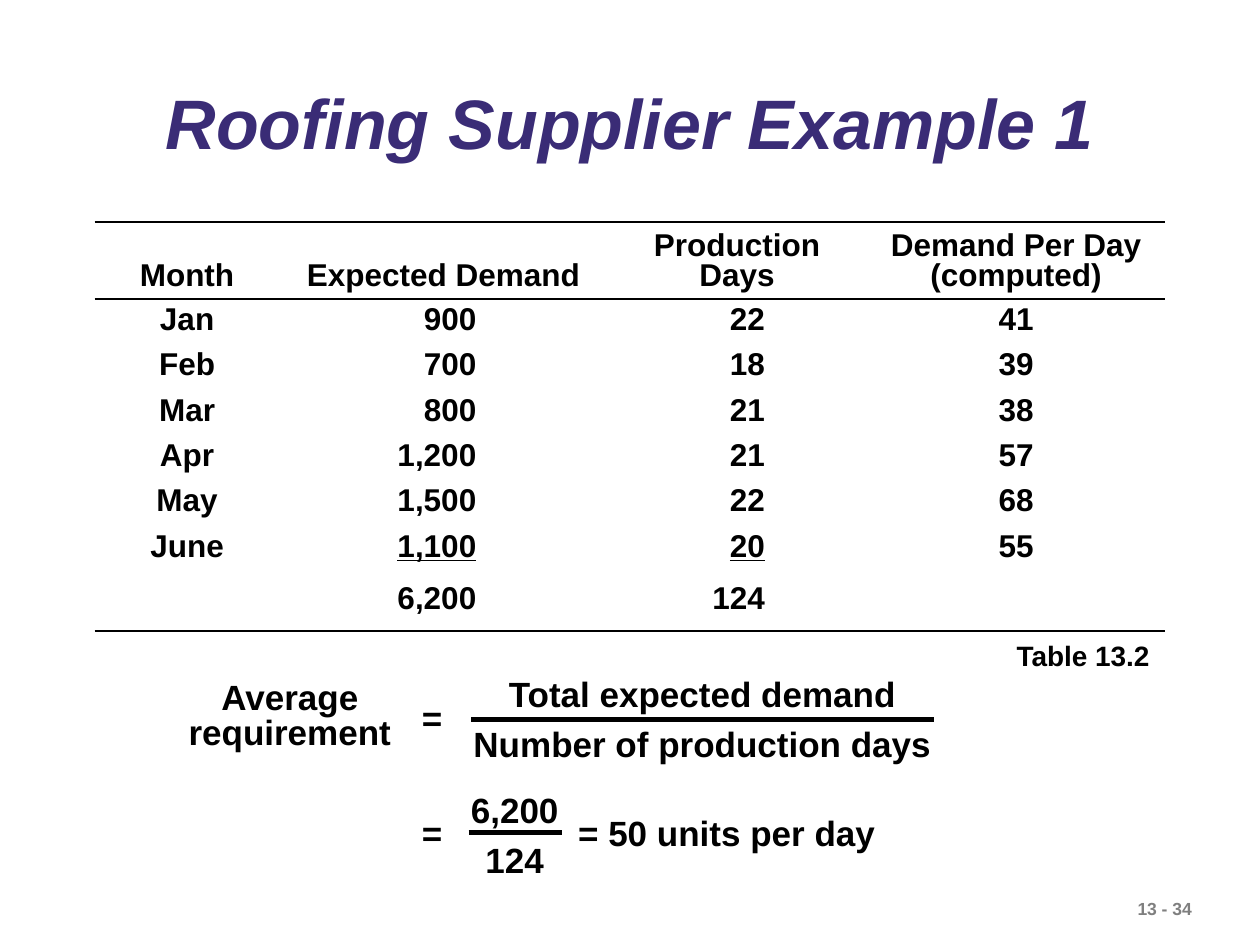
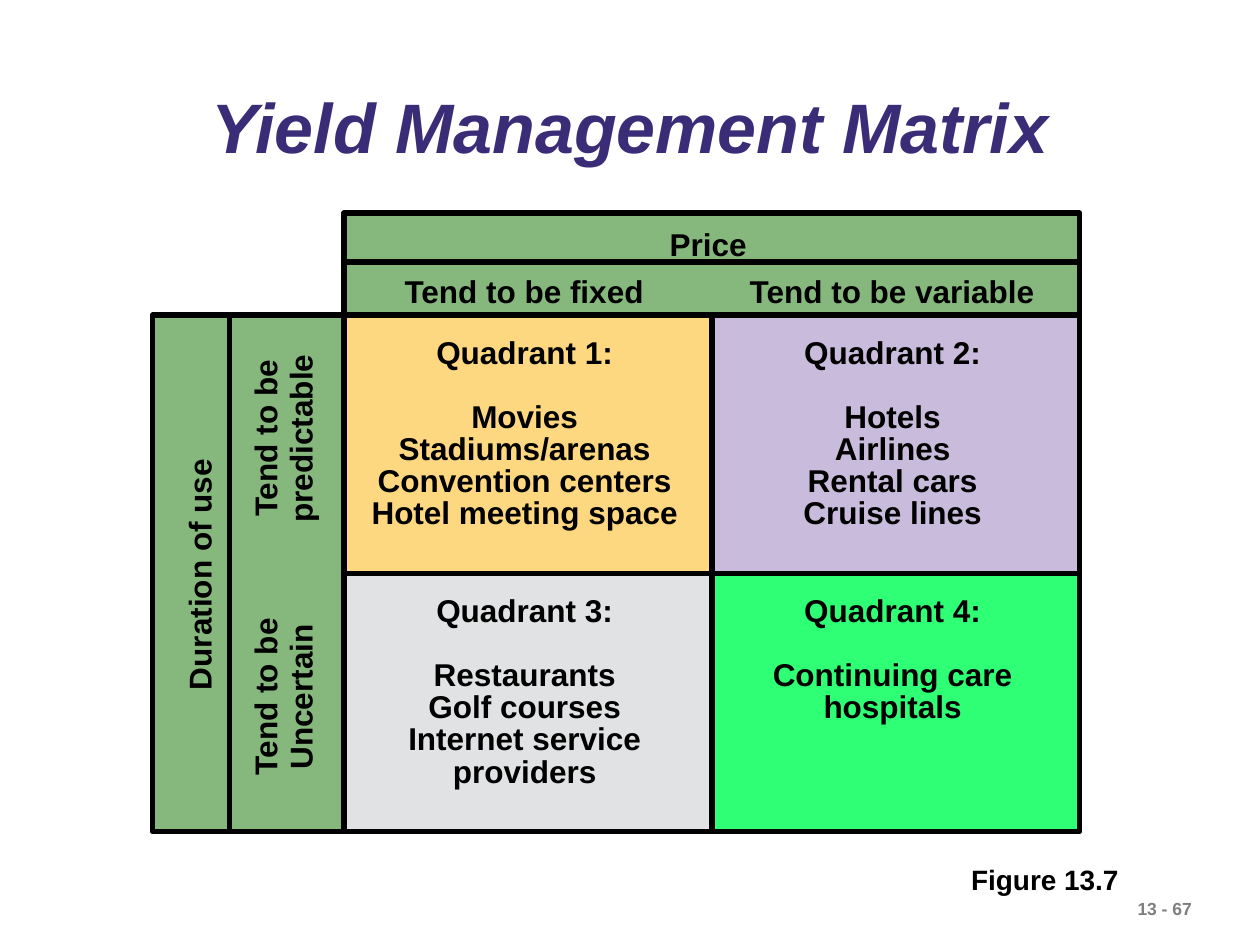
from lxml import etree
from pptx import Presentation
from pptx.dml.color import RGBColor
from pptx.enum.shapes import MSO_CONNECTOR, MSO_SHAPE
from pptx.enum.text import MSO_ANCHOR, PP_ALIGN
from pptx.oxml.ns import qn
from pptx.util import Inches, Pt

LEFT, CENTER, RIGHT = PP_ALIGN.LEFT, PP_ALIGN.CENTER, PP_ALIGN.RIGHT
TOP, MIDDLE, BOTTOM = MSO_ANCHOR.TOP, MSO_ANCHOR.MIDDLE, MSO_ANCHOR.BOTTOM
RECTANGLE = MSO_SHAPE.RECTANGLE
STRAIGHT = MSO_CONNECTOR.STRAIGHT

FONT = "Arial"
PLAIN_TABLE_STYLE = "{2D5ABB26-0587-4C30-8999-92F81FD0307C}"
BLACK = RGBColor(0x00, 0x00, 0x00)
GRAY = RGBColor(0x7F, 0x7F, 0x7F)
INDIGO = RGBColor(0x3A, 0x2C, 0x76)
GREEN = RGBColor(0x86, 0xB8, 0x7D)
GOLD = RGBColor(0xFE, 0xD8, 0x80)
LILAC = RGBColor(0xC9, 0xBB, 0xDB)
SILVER = RGBColor(0xE1, 0xE2, 0xE3)
BRIGHT_GREEN = RGBColor(0x2F, 0xFF, 0x74)


def write(frame, text, size, align=LEFT, spacing=1.0, color=BLACK):
    """Fill a text frame with bold lines, one paragraph per line of text."""
    frame.text = text
    for para in frame.paragraphs:
        para.alignment = align
        para.line_spacing = spacing
        para.font.name = FONT
        para.font.size = Pt(size)
        para.font.bold = True
        para.font.color.rgb = color


def add_rule(slide, x1, y1, x2, y2):
    rule = slide.shapes.add_connector(
        STRAIGHT, Inches(x1), Inches(y1), Inches(x2), Inches(y2))
    rule.line.color.rgb = BLACK
    rule.line.width = Pt(3)
    etree.SubElement(rule.element.spPr, qn("a:effectLst"))


deck = Presentation()
deck.slide_width = Inches(10)
deck.slide_height = Inches(7.5)

# Title and page number on both slides
slides = []
for title, title_top, title_height, page in [
    ("Roofing Supplier Example 1", 0.51, 0.99, "13 - 34"),
    ("Yield Management Matrix", 0.57, 0.94, "13 - 67"),
]:
    slide = deck.slides.add_slide(deck.slide_layouts[6])
    slides.append(slide)
    box = slide.shapes.add_textbox(
        Inches(0.75), Inches(title_top), Inches(8.5), Inches(title_height))
    box.text_frame.word_wrap = True
    box.text_frame.vertical_anchor = MIDDLE
    write(box.text_frame, title, 40, CENTER, 0.9, INDIGO)
    box.text_frame.paragraphs[0].font.italic = True
    box = slide.shapes.add_textbox(
        Inches(8.93), Inches(7.08), Inches(1.14), Inches(0.27))
    box.text_frame.word_wrap = False
    write(box.text_frame, page, 10, color=GRAY)
example, matrix = slides

# Demand table
demand_rows = [
    ("Month", "Expected Demand", "Production Days", "Demand Per Day (computed)"),
    ("Jan", "900", "22", "41"),
    ("Feb", "700", "18", "39"),
    ("Mar", "800", "21", "38"),
    ("Apr", "1,200", "21", "57"),
    ("May", "1,500", "22", "68"),
    ("June", "1,100", "20", "55"),
    ("", "6,200", "124", ""),
]
column_widths = [1.47, 2.6, 2.06, 2.37]
row_heights = [0.61] + [0.36] * 6 + [0.48]
number_margins = {1: 1.04, 2: 0.81}
last_row = len(demand_rows) - 1
row_borders = {
    0: {"a:lnT": 1.47, "a:lnB": 1.08},
    1: {"a:lnT": 1.08},
    last_row: {"a:lnB": 1.47},
}

table = example.shapes.add_table(
    len(demand_rows), len(column_widths), Inches(0.75), Inches(1.76),
    Inches(sum(column_widths)), Inches(sum(row_heights))).table
table.first_row = False
table.horz_banding = False
table._tbl.tblPr.find(qn("a:tableStyleId")).text = PLAIN_TABLE_STYLE
for column, width in zip(table.columns, column_widths):
    column.width = Inches(width)
for row, height in zip(table.rows, row_heights):
    row.height = Inches(height)

for row_index, values in enumerate(demand_rows):
    for column_index, value in enumerate(values):
        cell = table.cell(row_index, column_index)
        is_number = row_index > 0 and column_index in number_margins
        cell.vertical_anchor = MIDDLE if row_index else BOTTOM
        write(cell.text_frame, value, 18, RIGHT if is_number else CENTER, 0.85)
        if is_number:
            cell.margin_right = Inches(number_margins[column_index])
            # The last month is underlined above the totals
            if row_index == last_row - 1:
                cell.text_frame.paragraphs[0].font.underline = True
        properties = cell._tc.get_or_add_tcPr()
        borders = row_borders.get(row_index, {})
        for tag in ("a:lnL", "a:lnR", "a:lnT", "a:lnB"):
            points = borders.get(tag, 0)
            border = etree.SubElement(properties, qn(tag), w=str(int(Pt(points))))
            if points:
                fill = etree.SubElement(border, qn("a:solidFill"))
                etree.SubElement(fill, qn("a:srgbClr"), val=str(BLACK))
            else:
                etree.SubElement(border, qn("a:noFill"))
        cell.fill.background()

# Captions and the average requirement formula
for slide, text, left, top, width, height, size, align, spacing in [
    (example, "Table 13.2", 7.97, 5.02, 1.27, 0.37, 16, LEFT, 1.0),
    (matrix, "Figure 13.7", 7.61, 6.8, 1.37, 0.37, 16, LEFT, 1.0),
    (example, "Average requirement", 1.34, 5.36, 1.92, 0.67, 20, CENTER, 0.85),
    (example, "=", 3.25, 5.48, 0.36, 0.44, 20, CENTER, 1.0),
    (example, "Total expected demand\nNumber of production days",
     3.51, 5.22, 4.13, 0.9, 20, CENTER, 1.2),
    (example, "=", 3.25, 6.39, 0.36, 0.44, 20, CENTER, 1.0),
    (example, "6,200\n124", 3.49, 6.14, 1.19, 0.9, 20, CENTER, 1.2),
    (example, "= 50 units per day", 4.49, 6.39, 2.66, 0.44, 20, LEFT, 1.0),
]:
    box = slide.shapes.add_textbox(
        Inches(left), Inches(top), Inches(width), Inches(height))
    box.text_frame.word_wrap = text == "Average requirement"
    write(box.text_frame, text, size, align, spacing)
add_rule(example, 3.74, 5.71, 7.41, 5.71)
add_rule(example, 3.72, 6.61, 4.46, 6.61)

# Matrix: header bands, four quadrants, frame and dividers
grid_left, grid_top = 2.73, 2.5
quadrant_width, quadrant_height = 2.92, 2.05
grid_width, grid_height = 2 * quadrant_width, 2 * quadrant_height
grid_right, grid_bottom = grid_left + grid_width, grid_top + grid_height
duration_left, price_top = 1.21, 1.69

quadrants = [
    (GOLD, "Quadrant 1:\nMovies\nStadiums/arenas\nConvention centers\nHotel meeting space"),
    (LILAC, "Quadrant 2:\nHotels\nAirlines\nRental cars\nCruise lines"),
    (SILVER, "Quadrant 3:\nRestaurants\nGolf courses\nInternet service\nproviders"),
    (BRIGHT_GREEN, "Quadrant 4:\nContinuing care\nhospitals"),
]
panels = [
    (duration_left, grid_top, grid_left - duration_left, grid_height, GREEN, ""),
    (grid_left, price_top, grid_width, grid_top - price_top, GREEN, ""),
]
for index, (color, text) in enumerate(quadrants):
    row, column = divmod(index, 2)
    panels.append((grid_left + column * quadrant_width,
                   grid_top + row * quadrant_height,
                   quadrant_width, quadrant_height, color, text))
panels.append((grid_left, grid_top, grid_width, grid_height, None, ""))

for left, top, width, height, color, text in panels:
    panel = matrix.shapes.add_shape(
        RECTANGLE, Inches(left), Inches(top), Inches(width), Inches(height))
    panel.shadow.inherit = False
    if color is None:
        panel.fill.background()
    else:
        panel.fill.solid()
        panel.fill.fore_color.rgb = color
    if text:
        panel.line.fill.background()
        panel.text_frame.vertical_anchor = TOP
        panel.text_frame.margin_top = Inches(0.19)
        panel.text_frame.margin_right = Inches(0.15)
        write(panel.text_frame, text, 18, CENTER, 0.85)
        panel.text_frame.paragraphs[1].space_before = Pt(18)
    else:
        panel.line.color.rgb = BLACK
        panel.line.width = Pt(3)

middle_x = grid_left + quadrant_width
middle_y = grid_top + quadrant_height
add_rule(matrix, grid_left, middle_y, grid_right, middle_y)
add_rule(matrix, middle_x, grid_top, middle_x, grid_bottom)
add_rule(matrix, grid_left, 2.08, grid_right, 2.08)
add_rule(matrix, 1.82, grid_top, 1.82, grid_bottom)

# Axis labels, placed by their centres
for text, center_x, center_y, width, height, rotation in [
    ("Price", 5.62, 1.94, grid_width, 0.4, 0),
    ("Tend to be fixed", 4.16, 2.31, quadrant_width, 0.4, 0),
    ("Tend to be variable", 7.08, 2.31, quadrant_width, 0.4, 0),
    ("Duration of use", 1.58, 4.56, grid_height, 0.4, 270),
    ("Tend to be\npredictable", 2.26, 3.48, quadrant_height, 0.66, 270),
    ("Tend to be\nUncertain", 2.26, 5.53, quadrant_height, 0.66, 270),
]:
    box = matrix.shapes.add_textbox(
        Inches(center_x - width / 2), Inches(center_y - height / 2),
        Inches(width), Inches(height))
    box.rotation = rotation
    box.text_frame.word_wrap = True
    write(box.text_frame, text, 18, CENTER, 0.93 if "\n" in text else 1.0)

deck.save("out.pptx")
